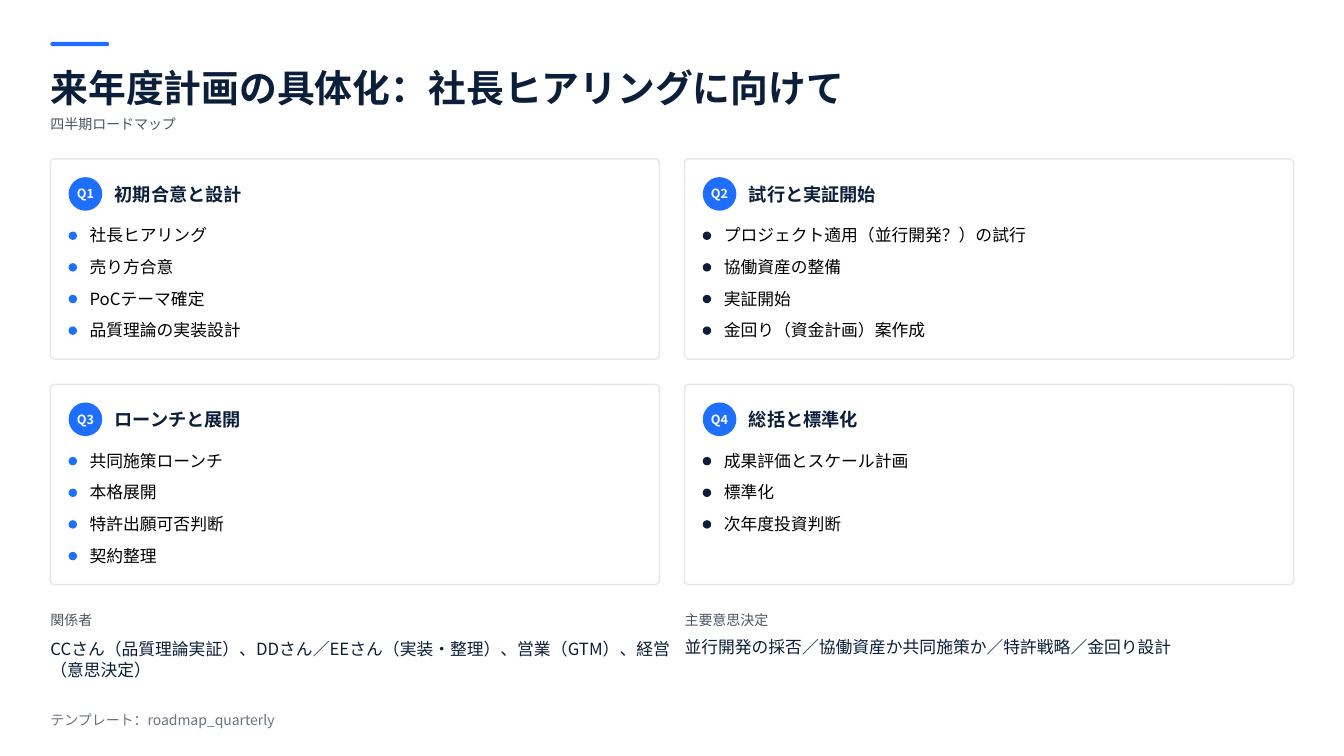
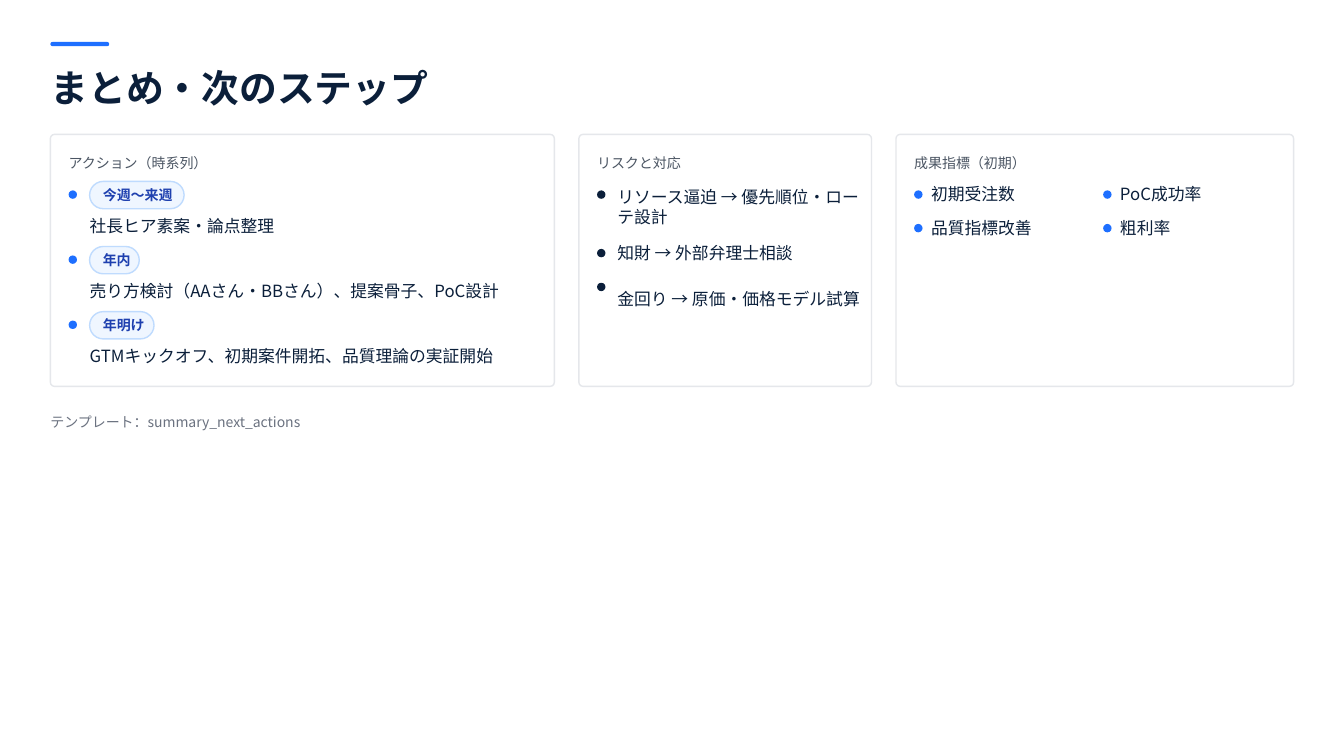
from pptx import Presentation
from pptx.dml.color import RGBColor
from pptx.enum import shapes, text
from pptx.oxml import ns
from pptx.util import Pt
from lxml import etree

# Shared style
FONT = "Noto Sans CJK JP"
BLUE = RGBColor(0x1E, 0x6F, 0xFF)
NAVY = RGBColor(0x0B, 0x1F, 0x3A)
BLACK = RGBColor(0x00, 0x00, 0x00)
WHITE = RGBColor(0xFF, 0xFF, 0xFF)
SLATE = RGBColor(0x4B, 0x55, 0x63)
GRAY = RGBColor(0x6B, 0x72, 0x80)
BORDER = RGBColor(0xE5, 0xE7, 0xEB)
PILL_FILL = RGBColor(0xEF, 0xF6, 0xFF)
PILL_LINE = RGBColor(0xBF, 0xDB, 0xFE)
PILL_TEXT = RGBColor(0x1E, 0x40, 0xAF)

# Shared measures in points
PAGE_WIDTH, PAGE_HEIGHT = 960, 540
LEFT = 36
CONTENT_WIDTH = PAGE_WIDTH - 2 * LEFT
PADDING = 13
ITEM_INDENT = 28
DOT = 6
LINE = 18
LABEL_LINE = 15

# Quarter grid
QUARTER_WIDTH, QUARTER_HEIGHT, GAP = 435, 143, 18
QUARTER_TOP = 113.5
QUARTERS = [
    ("Q1", "初期合意と設計",
     ["社長ヒアリング", "売り方合意", "PoCテーマ確定", "品質理論の実装設計"]),
    ("Q2", "試行と実証開始",
     ["プロジェクト適用（並行開発？）の試行", "協働資産の整備", "実証開始",
      "金回り（資金計画）案作成"]),
    ("Q3", "ローンチと展開",
     ["共同施策ローンチ", "本格展開", "特許出願可否判断", "契約整理"]),
    ("Q4", "総括と標準化",
     ["成果評価とスケール計画", "標準化", "次年度投資判断"]),
]

# Summary cards: rows start below the card label
SUMMARY_TOP, SUMMARY_HEIGHT = 96, 180
ROWS_TOP = SUMMARY_TOP + 33.6
ACTIONS = [
    ("今週〜来週", 67.5, "社長ヒア素案・論点整理"),
    ("年内", 35.5, "売り方検討（AAさん・BBさん）、提案骨子、PoC設計"),
    ("年明け", 46, "GTMキックオフ、初期案件開拓、品質理論の実証開始"),
]
# Text, offset from the first row, height
RISKS = [
    ("リソース逼迫 → 優先順位・ローテ設計", 0, 2 * LINE),
    ("知財 → 外部弁理士相談", 41.8, LINE),
    ("金回り → 原価・価格モデル試算", 66, 2 * LINE),
]
METRICS = ["初期受注数", "PoC成功率", "品質指標改善", "粗利率"]


def write(box, words, size, color, bold=False, align=text.PP_ALIGN.LEFT, inset=0):
    """Fill a box with one middle-anchored paragraph."""
    frame = box.text_frame
    frame.word_wrap = True
    frame.auto_size = text.MSO_AUTO_SIZE.NONE
    frame.vertical_anchor = text.MSO_ANCHOR.MIDDLE
    frame.margin_left = Pt(inset)
    frame.margin_right = frame.margin_top = frame.margin_bottom = 0
    para = frame.paragraphs[0]
    para.alignment = align
    span = para.add_run()
    span.text = words
    span.font.name = FONT
    span.font.size = Pt(size)
    span.font.bold = bold
    span.font.color.rgb = color
    east_asian = etree.SubElement(span.font._element, ns.qn("a:ea"))
    east_asian.set("typeface", FONT)


def add_text(page, left, top, width, height, words, size, color, bold=False):
    box = page.shapes.add_textbox(Pt(left), Pt(top), Pt(width), Pt(height))
    write(box, words, size, color, bold)


def add_rounded(page, left, top, width, height, radius, fill=None, line=None):
    box = page.shapes.add_shape(shapes.MSO_SHAPE.ROUNDED_RECTANGLE,
                                Pt(left), Pt(top), Pt(width), Pt(height))
    box.shadow.inherit = False
    box.adjustments[0] = min(0.5, radius / min(width, height))
    if fill is None:
        box.fill.background()
    else:
        box.fill.solid()
        box.fill.fore_color.rgb = fill
    if line is None:
        box.line.fill.background()
    else:
        box.line.color.rgb = line
        box.line.width = Pt(1)
    return box


def add_card(page, left, top, width, height):
    add_rounded(page, left, top, width, height, 3, line=BORDER)


def add_label(page, left, top, words, color=SLATE):
    add_text(page, left, top, 240, LABEL_LINE, words, 10, color)


def add_dot(page, left, row_top, color):
    add_rounded(page, left, row_top + 6.4, DOT, DOT, DOT, fill=color)


def start_page(deck, title):
    """Add a page with the accent bar and the title."""
    page = deck.slides.add_slide(deck.slide_layouts[5])
    add_rounded(page, LEFT, 30, 42, 3, 3, fill=BLUE)
    heading = page.shapes.title
    heading.left, heading.top = Pt(LEFT), Pt(43)
    heading.width, heading.height = Pt(CONTENT_WIDTH), Pt(39)
    write(heading, title, 27, NAVY, bold=True)
    return page


def add_quarter(page, left, top, dot_color, name, heading, items):
    add_card(page, left, top, QUARTER_WIDTH, QUARTER_HEIGHT)
    badge = add_rounded(page, left + PADDING, top + PADDING, 24, 24, 12, fill=BLUE)
    write(badge, name, 9, WHITE, bold=True, align=text.PP_ALIGN.CENTER)
    add_text(page, left + 46, top + 15.2, 360, 19.5, heading, 13, NAVY, bold=True)
    for index, item in enumerate(items):
        row_top = top + 45.5 + index * 22.6
        add_dot(page, left + PADDING, row_top, dot_color)
        add_text(page, left + ITEM_INDENT, row_top, 380, LINE, item, 12, BLACK)


def add_summary_card(page, left, width, label):
    add_card(page, left, SUMMARY_TOP, width, SUMMARY_HEIGHT)
    add_label(page, left + PADDING, SUMMARY_TOP + PADDING, label)


def add_actions(page, left, width):
    add_summary_card(page, left, width, "アクション（時系列）")
    for index, (period, pill_width, action) in enumerate(ACTIONS):
        row_top = ROWS_TOP + index * 46.5
        add_dot(page, left + PADDING, row_top, BLUE)
        pill = add_rounded(page, left + ITEM_INDENT, row_top, pill_width, 19.5, 11,
                           fill=PILL_FILL, line=PILL_LINE)
        write(pill, period, 10, PILL_TEXT, bold=True, inset=6.6)
        add_text(page, left + ITEM_INDENT, row_top + 22.8, 303, LINE, action, 12, NAVY)


def add_risks(page, left, width):
    add_summary_card(page, left, width, "リスクと対応")
    for risk, offset, height in RISKS:
        row_top = ROWS_TOP + offset
        add_dot(page, left + PADDING, row_top, NAVY)
        add_text(page, left + 27.5, row_top, 174.5, height, risk, 12, NAVY)


def add_metrics(page, left, width):
    add_summary_card(page, left, width, "成果指標（初期）")
    for index, metric in enumerate(METRICS):
        row, column = divmod(index, 2)
        row_top = ROWS_TOP + row * 24
        dot_left = left + PADDING + column * 135
        add_dot(page, dot_left, row_top, BLUE)
        add_text(page, dot_left + 12, row_top, 110, LINE, metric, 12, NAVY)


def build_roadmap(deck):
    page = start_page(deck, "来年度計画の具体化：社長ヒアリングに向けて")
    add_label(page, LEFT, 80.8, "四半期ロードマップ")
    right = LEFT + QUARTER_WIDTH + GAP
    for index, quarter in enumerate(QUARTERS):
        row, column = divmod(index, 2)
        add_quarter(page, (LEFT, right)[column],
                    QUARTER_TOP + row * (QUARTER_HEIGHT + GAP),
                    (BLUE, NAVY)[column], *quarter)
    # People and decisions
    add_label(page, LEFT, 435, "関係者")
    add_text(page, LEFT, 453, 443.5, 2 * LINE,
             "CCさん（品質理論実証）、DDさん／EEさん（実装・整理）、営業（GTM）、経営（意思決定）",
             12, NAVY)
    add_label(page, right, 435, "主要意思決定")
    add_text(page, right, 453, QUARTER_WIDTH, LINE,
             "並行開発の採否／協働資産か共同施策か／特許戦略／金回り設計", 12, NAVY)
    add_label(page, LEFT, 507, "テンプレート：roadmap_quarterly", GRAY)


def build_summary(deck):
    page = start_page(deck, "まとめ・次のステップ")
    add_actions(page, LEFT, 360)
    add_risks(page, 413.5, 209)
    add_metrics(page, 640, 284)
    add_label(page, LEFT, 294, "テンプレート：summary_next_actions", GRAY)


def main():
    deck = Presentation()
    deck.slide_width, deck.slide_height = Pt(PAGE_WIDTH), Pt(PAGE_HEIGHT)
    build_roadmap(deck)
    build_summary(deck)
    deck.save("out.pptx")


if __name__ == "__main__":
    main()
